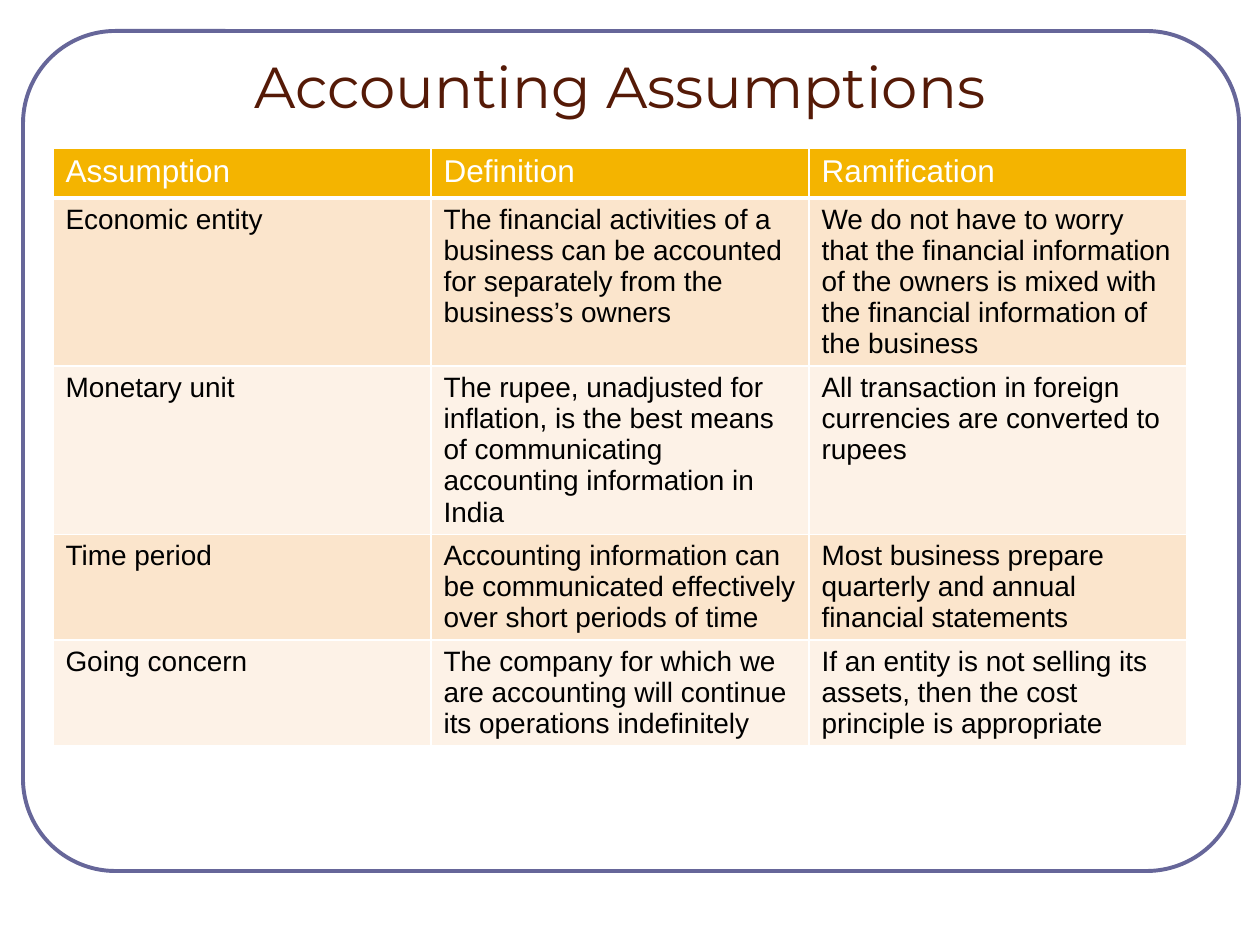
from lxml.etree import SubElement
from pptx import Presentation
from pptx.dml.color import RGBColor
from pptx.enum.shapes import MSO_SHAPE as Shape
from pptx.enum.text import MSO_ANCHOR as Anchor, PP_ALIGN as Align
from pptx.oxml.ns import qn
from pptx.util import Pt

TITLE = "Accounting Assumptions"
ROWS = [
    ("Assumption", "Definition", "Ramification"),
    ("Economic entity",
     "The financial activities of a business can be accounted for separately "
     "from the business’s owners",
     "We do not have to worry that the financial information of the owners is "
     "mixed with the financial information of the business"),
    ("Monetary unit",
     "The rupee, unadjusted for inflation, is the best means of communicating "
     "accounting information in India",
     "All transaction in foreign currencies are converted to rupees"),
    ("Time period",
     "Accounting information can be communicated effectively over short "
     "periods of time",
     "Most business prepare quarterly and annual financial statements"),
    ("Going concern",
     "The company for which we are accounting will continue its operations "
     "indefinitely",
     "If an entity is not selling its assets, then the cost principle is "
     "appropriate"),
]
HEIGHTS = [50, 168, 168, 106, 106]
COL = 378

BROWN = RGBColor(0x55, 0x1A, 0x07)
SLATE = RGBColor(0x66, 0x66, 0x99)
GOLD = RGBColor(0xF4, 0xB4, 0x00)
PEACH = RGBColor(0xFB, 0xE5, 0xCC)
CREAM = RGBColor(0xFD, 0xF2, 0xE7)
WHITE = RGBColor(0xFF, 0xFF, 0xFF)
BLACK = RGBColor(0, 0, 0)


def px(*nums):
    return [round(n * 914400 / 126) for n in nums]


def style(para, font, size, color):
    for run in para.runs:
        run.font.name = font
        run.font.size = Pt(size)
        run.font.color.rgb = color


def edge(cell, low):
    """Draw white cell borders; low is the width of the bottom one."""
    props = cell._tc.get_or_add_tcPr()
    for tag, wide in (("lnL", 1), ("lnR", 1), ("lnT", 1), ("lnB", low)):
        line = SubElement(props, qn("a:" + tag), w=str(Pt(wide)))
        fill = SubElement(line, qn("a:solidFill"))
        SubElement(fill, qn("a:srgbClr"), val=str(WHITE))


def add_frame(slide):
    frame = slide.shapes.add_shape(Shape.ROUNDED_RECTANGLE,
                                   *px(23, 31, 1216, 840))
    frame.adjustments[0] = 0.11
    frame.shadow.inherit = False
    frame.fill.background()
    frame.line.color.rgb = SLATE
    frame.line.width = Pt(2.25)


def set_title(slide):
    title = slide.shapes.title
    title.left, title.top, title.width, title.height = px(53, -32, 1134, 158)
    frame = title.text_frame
    frame.text = TITLE
    frame.vertical_anchor = Anchor.BOTTOM
    para = frame.paragraphs[0]
    para.alignment = Align.CENTER
    style(para, "Montserrat", 33, BROWN)


def add_grid(slide):
    cols = len(ROWS[0])
    grid = slide.shapes.add_table(
        len(ROWS), cols, *px(53, 148, COL * cols, sum(HEIGHTS))).table
    for col in grid.columns:
        col.width = px(COL)[0]
    for r, texts in enumerate(ROWS):
        grid.rows[r].height = px(HEIGHTS[r])[0]
        head = r == 0
        back = GOLD if head else PEACH if r % 2 else CREAM
        for c, text in enumerate(texts):
            cell = grid.cell(r, c)
            cell.text = text
            edge(cell, 3 if head else 1)
            cell.fill.solid()
            cell.fill.fore_color.rgb = back
            para = cell.text_frame.paragraphs[0]
            style(para, "Arial", 18 if head else 16, WHITE if head else BLACK)
            for run in para.runs:
                run.font.bold = False


def main():
    deck = Presentation()
    deck.slide_width, deck.slide_height = px(1260, 945)
    slide = deck.slides.add_slide(deck.slide_layouts[5])
    add_frame(slide)
    set_title(slide)
    add_grid(slide)
    deck.save("out.pptx")


if __name__ == "__main__":
    main()
